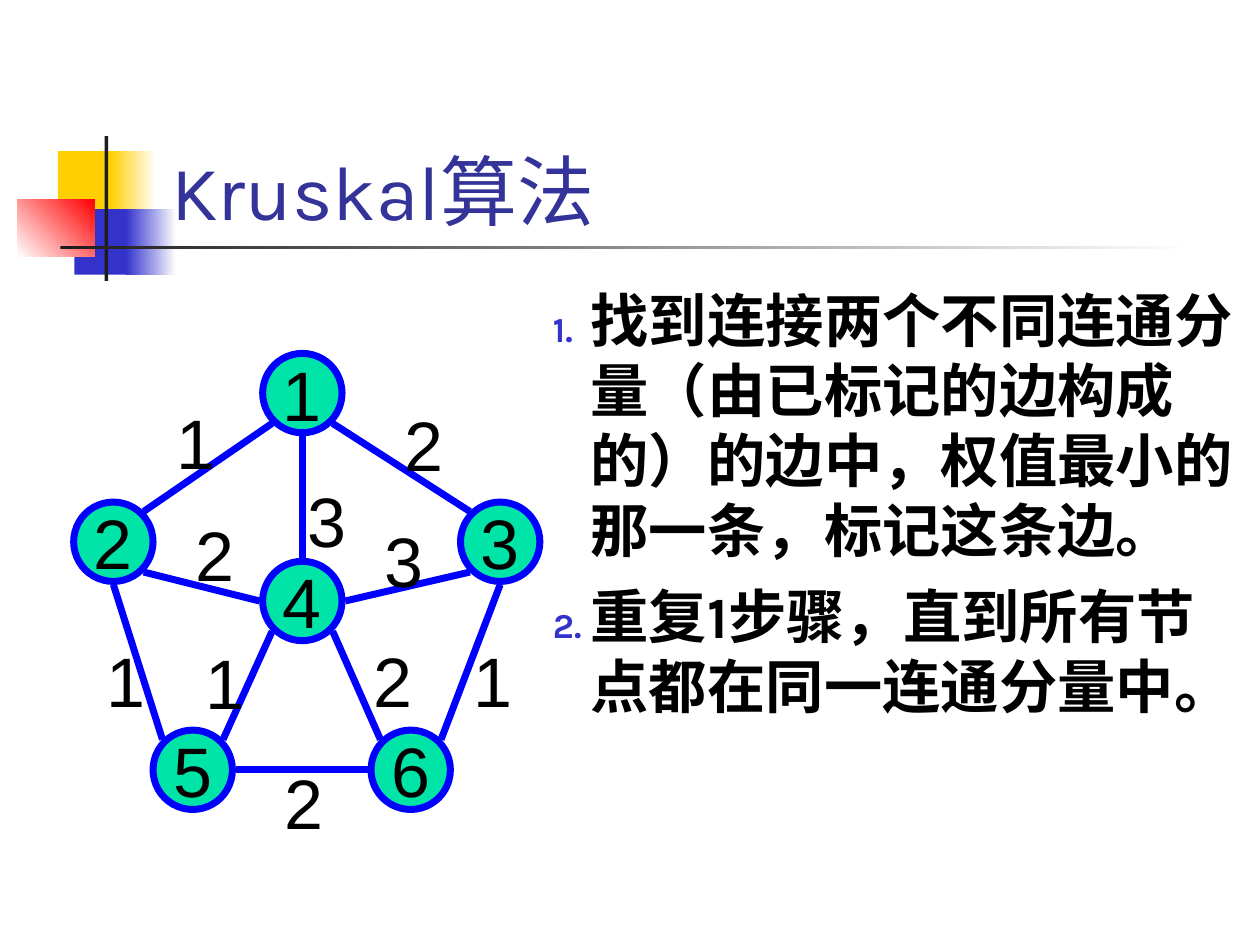
import pptx
import pptx.util
import pptx.dml.color
import pptx.enum.shapes
import pptx.enum.text
import pptx.oxml.ns
from lxml import etree

Inches, Pt = pptx.util.Inches, pptx.util.Pt
KIND = pptx.enum.shapes.MSO_SHAPE
ALIGN = pptx.enum.text.PP_ALIGN
ANCHOR = pptx.enum.text.MSO_ANCHOR

# Content: title and numbered steps
TITLE = "Kruskal算法"
STEPS = [
    "找到连接两个不同连通分量（由已标记的边构成的）的边中，权值最小的那一条，标记这条边。",
    "重复1步骤，直到所有节点都在同一连通分量中。",
]

# Ornament: left, top, width, height, start colour, end colour, angle
DECOR = [
    (0.46, 1.2, 0.48, 0.52, "FFCF01", None, 0),
    (0.88, 1.2, 0.36, 0.52, "FFCF01", "FFFFFF", 0),
    (0.59, 1.66, 0.46, 0.52, "3333CC", None, 0),
    (1, 1.66, 0.4, 0.52, "3333CC", "FFFFFF", 0),
    (0.14, 1.58, 0.61, 0.46, "FFFFFF", "FF0000", 45),
    (0.83, 1.08, 0.03, 1.15, "1C1C1C", None, 0),
    (0.48, 1.95, 9, 0.03, "1C1C1C", "FFFFFF", 0),
]

# Graph: node centres, then edges with the side each end leaves from
NODES = {
    "1": (2.4, 3.12), "2": (0.9, 4.3), "4": (2.4, 4.77),
    "3": (3.97, 4.3), "5": (1.53, 6.11), "6": (3.26, 6.11),
}
EDGES = [
    ("1", "SW", "2", "NE"), ("1", "SE", "3", "NW"), ("1", "S", "4", "N"),
    ("2", "S", "5", "NW"), ("3", "S", "6", "NE"), ("4", "SE", "6", "NW"),
    ("4", "SW", "5", "NE"), ("5", "E", "6", "W"), ("4", "W", "2", "SE"),
    ("4", "E", "3", "SW"),
]
# Edge weights: text, left, top, width
COSTS = [
    ("1", 1.3, 3.12, 0.47), ("2", 3.11, 3.14, 0.47), ("3", 2.32, 3.74, 0.55),
    ("1", 0.75, 5.01, 0.47), ("2", 1.45, 4.01, 0.39), ("3", 2.95, 4.06, 0.39),
    ("1", 3.66, 5.01, 0.47), ("2", 2.16, 5.98, 0.47), ("1", 1.51, 5.03, 0.55),
    ("2", 2.87, 5.01, 0.24),
]
SIZE, REACH = 0.63, 0.34

# Formats
HEAD = {"size": Pt(44), "name": "Karla", "bold": False}
BODY = {"size": Pt(33.3), "name": "Karla", "bold": True}
MARK = {"size": Pt(40), "name": "Arial", "bold": False}


def rgb(code):
    return pptx.dml.color.RGBColor.from_string(code)


def put(thing, vals):
    for key, val in vals.items():
        setattr(thing, key, val)


def add(parent, tag, **vals):
    return etree.SubElement(parent, pptx.oxml.ns.qn("a:" + tag), **vals)


def write(para, text, look, ink="000000"):
    run = para.add_run()
    run.text = text
    put(run.font, look)
    run.font.color.rgb = rgb(ink)
    add(run.font._element, "ea", typeface=look["name"])


def box(left, top, wide, high):
    frame = slide.shapes.add_textbox(
        *map(Inches, (left, top, wide, high))).text_frame
    frame.word_wrap = True
    return frame


def shape(kind, left, top, wide, high):
    item = slide.shapes.add_shape(kind, *map(Inches, (left, top, wide, high)))
    item.shadow.inherit = False
    return item


def paint(item, ink):
    item.fill.solid()
    item.fill.fore_color.rgb = rgb(ink)


def site(node, side):
    """Point on the rim of a node, named by compass direction."""
    dx = ("E" in side) - ("W" in side)
    dy = ("S" in side) - ("N" in side)
    far = REACH / (dx * dx + dy * dy) ** 0.5
    x, y = NODES[node]
    return Inches(x + dx * far), Inches(y + dy * far)


deck = pptx.Presentation()
put(deck, {"slide_width": Inches(10), "slide_height": Inches(7.5)})
slide = deck.slides.add_slide(deck.slide_layouts[6])

# Ornament
for left, top, wide, high, ink, end, angle in DECOR:
    item = shape(KIND.RECTANGLE, left, top, wide, high)
    item.line.fill.background()
    if end is None:
        paint(item, ink)
        continue
    item.fill.gradient()
    item.fill.gradient_angle = angle
    for stop, code in zip(item.fill.gradient_stops, (ink, end)):
        stop.color.rgb = rgb(code)

# Title
frame = box(1.26, 0.67, 8.52, 1.25)
frame.vertical_anchor = ANCHOR.BOTTOM
write(frame.paragraphs[0], TITLE, HEAD, "333399")

# Numbered steps
frame = box(4.29, 2.21, 5.67, 5.01)
for i, step in enumerate(STEPS):
    para = frame.add_paragraph() if i else frame.paragraphs[0]
    para.space_before = Pt(9 if i else 0)
    props = para._p.get_or_add_pPr()
    props.set("marL", str(Inches(0.3)))
    props.set("indent", str(-Inches(0.3)))
    add(add(props, "buClr"), "srgbClr", val="3333CC")
    add(props, "buSzPct", val="60000")
    add(props, "buAutoNum", type="arabicPeriod")
    write(para, step, BODY)

# Nodes
for name, (x, y) in NODES.items():
    item = shape(KIND.OVAL, x - SIZE / 2, y - SIZE / 2, SIZE, SIZE)
    paint(item, "00E4A8")
    item.line.color.rgb = rgb("0000FF")
    item.line.width = Pt(4)
    put(item.text_frame, {"word_wrap": False,
                          "vertical_anchor": ANCHOR.MIDDLE})
    para = item.text_frame.paragraphs[0]
    para.alignment = ALIGN.CENTER
    write(para, name, MARK)

# Edges
for start, out, end, into in EDGES:
    edge = slide.shapes.add_connector(
        pptx.enum.shapes.MSO_CONNECTOR.STRAIGHT,
        *site(start, out), *site(end, into))
    edge.line.color.rgb = rgb("0000FF")
    edge.line.width = Pt(4)
    add(edge._element.spPr, "effectLst")

# Weights
for cost, left, top, wide in COSTS:
    para = box(left, top, wide, 0.77).paragraphs[0]
    para.alignment = ALIGN.CENTER
    write(para, cost, MARK)

deck.save("out.pptx")
